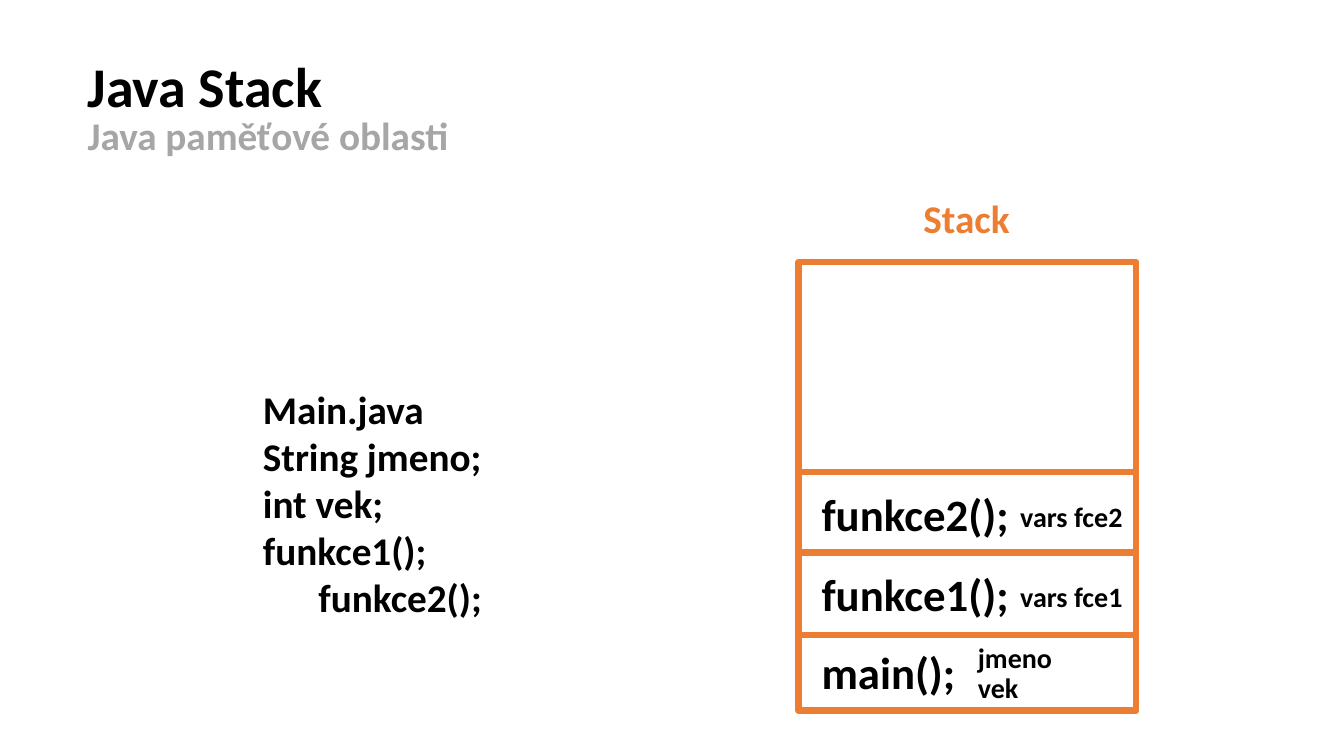
from pptx import Presentation
from pptx.dml.color import RGBColor
from pptx.enum.shapes import MSO_CONNECTOR, MSO_SHAPE
from pptx.enum.text import MSO_AUTO_SIZE
from pptx.oxml.ns import qn
from pptx.util import Inches, Pt
from lxml.etree import SubElement

BLACK, GRAY, ORANGE = "000000", "A6A6A6", "ED7D31"

# left, top, width, height, size, colour, lines
HEADINGS = [
    (0.77, 0.46, 2.55, 0.77, 40, BLACK, ["Java Stack"]),
    (0.77, 1.06, 3.82, 0.57, 28, GRAY, ["Java paměťové oblasti"]),
    (9.06, 1.88, 1.07, 0.57, 28, ORANGE, ["Stack"]),
]
CODE = [
    (2.51, 3.77, 2.39, 1.99, 28, BLACK,
     ["Main.java", "String jmeno;", "int vek;", "funkce1();"]),
    (3.06, 5.64, 1.84, 0.57, 28, BLACK, ["funkce2();"]),
]
# Stack frames: top of the name, width of the name, name
FRAMES = [
    (4.78, 2.08, "funkce2();"),
    (5.57, 2.08, "funkce1();"),
    (6.35, 1.54, "main();"),
]
# Frame variables: left, top, width, name
VARIABLES = [
    (10.02, 4.91, 1.23, "vars fce2"),
    (10.02, 5.7, 1.23, "vars fce1"),
    (9.6, 6.31, 0.95, "jmeno"),
    (9.6, 6.6, 0.61, "vek"),
]
STACK = (7.92, 2.6, 3.35, 4.45)
DIVIDERS = [4.68, 5.48, 6.3]
FRAME_LEFT = 8.05


def rgb(color):
    return RGBColor.from_string(color)


def add_text(s, left, top, width, height, size, color, lines):
    tf = s.shapes.add_textbox(*map(Inches, (left, top, width, height))).text_frame
    tf.word_wrap = False
    tf.auto_size = MSO_AUTO_SIZE.SHAPE_TO_FIT_TEXT
    font_format = {"name": "Calibri", "size": Pt(size), "bold": True}
    for i, line in enumerate(lines):
        p = tf.paragraphs[0] if i == 0 else tf.add_paragraph()
        r = p.add_run()
        r.text = line
        for name, value in font_format.items():
            setattr(r.font, name, value)
        r.font.color.rgb = rgb(color)


def draw_border(line):
    line.color.rgb = rgb(ORANGE)
    line.width = Pt(4.5)


def add_stack(s):
    left, top, width, height = STACK
    sp = s.shapes.add_shape(MSO_SHAPE.RECTANGLE, *map(Inches, STACK))
    sp.shadow.inherit = False
    sp.fill.background()
    draw_border(sp.line)
    for y in DIVIDERS:
        divider = s.shapes.add_connector(
            MSO_CONNECTOR.STRAIGHT, *map(Inches, (left, y, left + width, y)))
        draw_border(divider.line)
        SubElement(divider._element.spPr, qn("a:effectLst"))


def main():
    prs = Presentation()
    prs.slide_width, prs.slide_height = Inches(13.33), Inches(7.5)
    s = prs.slides.add_slide(prs.slide_layouts[6])
    add_stack(s)
    for text in HEADINGS + CODE:
        add_text(s, *text)
    for top, width, name in FRAMES:
        add_text(s, FRAME_LEFT, top, width, 0.64, 32, BLACK, [name])
    for left, top, width, name in VARIABLES:
        add_text(s, left, top, width, 0.44, 20, BLACK, [name])
    prs.save("out.pptx")


if __name__ == "__main__":
    main()
